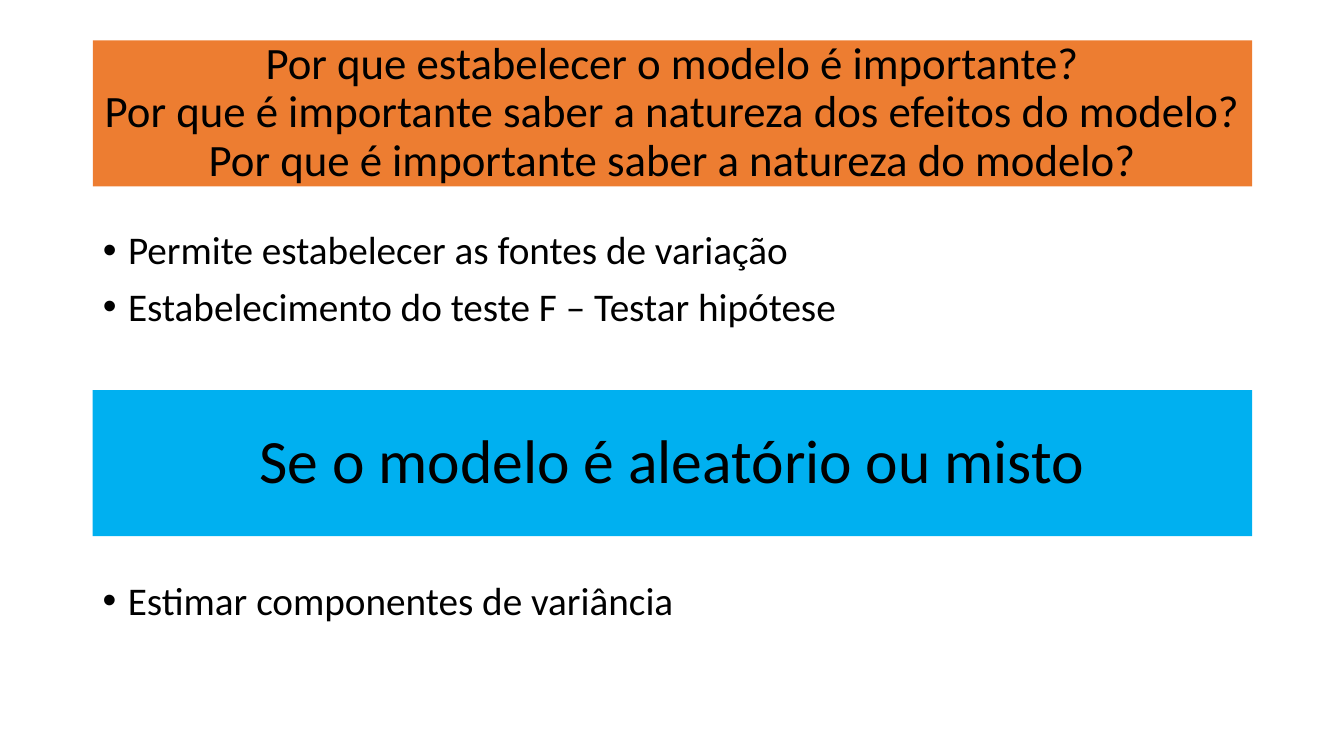
import copy
from dataclasses import dataclass

import pptx
import pptx.dml.color
import pptx.enum.shapes
import pptx.enum.text
import pptx.oxml.ns
import pptx.oxml.xmlchemy
import pptx.shapes.base
import pptx.slide
import pptx.text.text
import pptx.util
from lxml import etree

Inches = pptx.util.Inches
Pt = pptx.util.Pt
RGB = pptx.dml.color.RGBColor
qn = pptx.oxml.ns.qn


@dataclass(frozen=True)
class Theme:
    font: str = "Calibri"
    text: RGB = RGB(0x00, 0x00, 0x00)
    orange: RGB = RGB(0xED, 0x7D, 0x31)
    blue: RGB = RGB(0x00, 0xB0, 0xF0)
    questions_size: int = 32
    heading_size: int = 44
    list_size: int = 28
    line_spacing: float = 0.9


THEME = Theme()
LEFT, WIDTH = 0.92, 11.5
BAND_HEIGHT = 1.45


@dataclass(frozen=True)
class Section:
    """A coloured heading band with the bullet list beneath it."""
    heading: str
    fill: RGB
    size: int
    top: float
    list_top: float
    list_height: float
    points: tuple[str, ...]


SECTIONS = (
    Section(
        "Por que estabelecer o modelo é importante?\n"
        "Por que é importante saber a natureza dos efeitos do modelo?\n"
        "Por que é importante saber a natureza do modelo?",
        THEME.orange, THEME.questions_size, 0.4, 2.24, 1.22,
        ("Permite estabelecer as fontes de variação",
         "Estabelecimento do teste F – Testar hipótese"),
    ),
    Section(
        "Se o modelo é aleatório ou misto",
        THEME.blue, THEME.heading_size, 3.87, 5.72, 0.57,
        ("Estimar componentes de variância",),
    ),
)


def add_bullet(paragraph: pptx.text.text._Paragraph) -> None:
    properties = paragraph._p.get_or_add_pPr()
    properties.set("marL", str(Inches(0.25)))
    properties.set("indent", str(Inches(-0.25)))
    etree.SubElement(properties, qn("a:buFont"), typeface="Arial")
    etree.SubElement(properties, qn("a:buChar"), char="•")


def write(paragraph: pptx.text.text._Paragraph, text: str, *, size: int,
          align: pptx.enum.text.PP_ALIGN, bullet: bool = False,
          space_before: float = 0) -> None:
    """Fill a paragraph; newlines become line breaks of the same size."""
    if bullet:
        add_bullet(paragraph)
    paragraph.text = text
    paragraph.alignment = align
    paragraph.line_spacing = THEME.line_spacing
    paragraph.space_before = Pt(space_before)
    for run in paragraph.runs:
        run.font.name = THEME.font
        run.font.size = Pt(size)
        run.font.color.rgb = THEME.text
    for line_break in paragraph._p.findall(qn("a:br")):
        line_break.insert(0, copy.deepcopy(paragraph.runs[0].font._rPr))


def place(shape: pptx.shapes.base.BaseShape, top: float, height: float,
          anchor: pptx.enum.text.MSO_ANCHOR) -> None:
    shape.left, shape.top = Inches(LEFT), Inches(top)
    shape.width, shape.height = Inches(WIDTH), Inches(height)
    frame = shape.text_frame
    frame.word_wrap = True
    frame.auto_size = pptx.enum.text.MSO_AUTO_SIZE.NONE
    frame.vertical_anchor = anchor


def draw_section(section: Section, band: pptx.shapes.base.BaseShape,
                 point_list: pptx.shapes.base.BaseShape) -> None:
    place(band, section.top, BAND_HEIGHT, pptx.enum.text.MSO_ANCHOR.MIDDLE)
    band.fill.solid()
    band.fill.fore_color.rgb = section.fill
    band.line.fill.background()
    write(band.text_frame.paragraphs[0], section.heading, size=section.size,
          align=pptx.enum.text.PP_ALIGN.CENTER)

    place(point_list, section.list_top, section.list_height,
          pptx.enum.text.MSO_ANCHOR.TOP)
    frame = point_list.text_frame
    for index, point in enumerate(section.points):
        paragraph = frame.add_paragraph() if index else frame.paragraphs[0]
        write(paragraph, point, size=THEME.list_size, bullet=True,
              align=pptx.enum.text.PP_ALIGN.LEFT,
              space_before=10 if index else 0)


def main() -> None:
    presentation = pptx.Presentation()
    presentation.slide_width = Inches(13.33)
    presentation.slide_height = Inches(7.5)
    slide = presentation.slides.add_slide(presentation.slide_layouts[1])
    importance, random_or_mixed = SECTIONS

    draw_section(importance, slide.shapes.title, slide.placeholders[1])

    band = slide.shapes.add_shape(
        pptx.enum.shapes.MSO_SHAPE.RECTANGLE, 0, 0, 0, 0)
    band.shadow.inherit = False
    estimates = slide.shapes.add_textbox(0, 0, 0, 0)
    draw_section(random_or_mixed, band, estimates)

    presentation.save("out.pptx")


if __name__ == "__main__":
    main()
